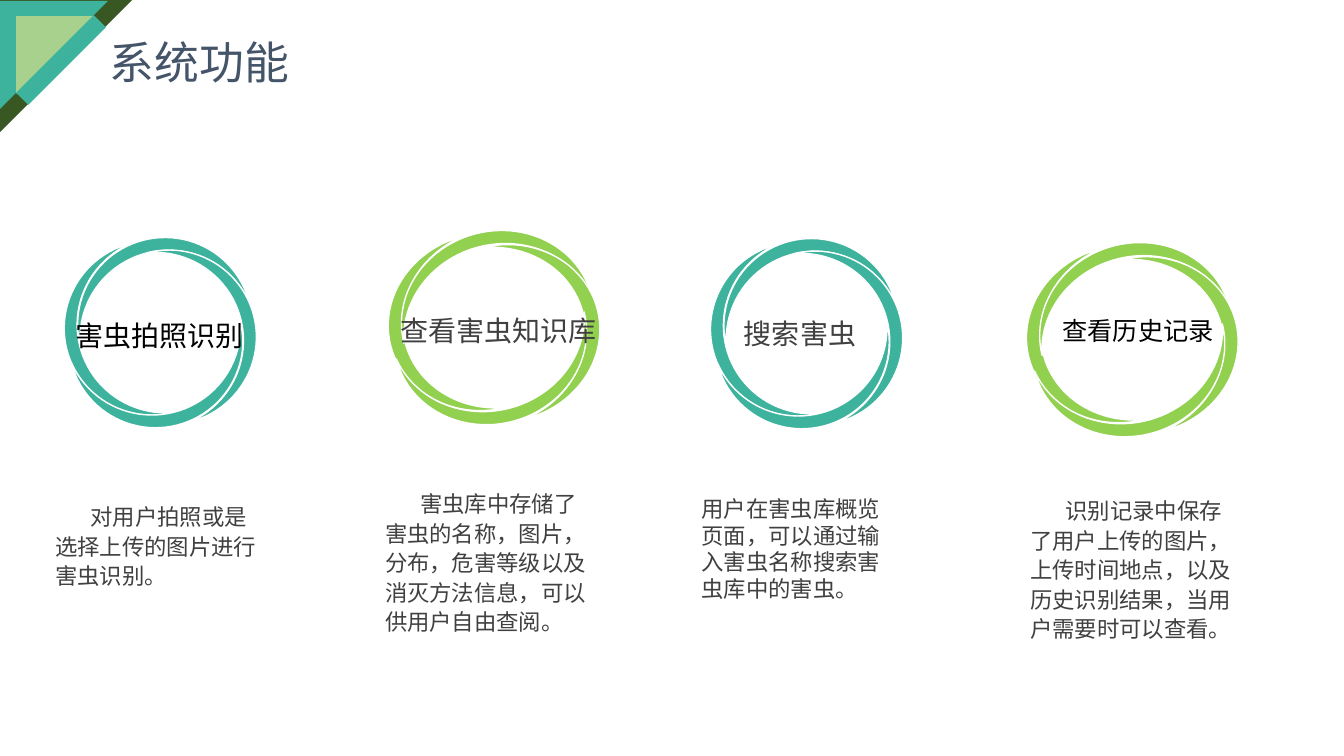
from pptx import Presentation
from pptx.dml.color import RGBColor
from pptx.enum.shapes import MSO_SHAPE as SHAPE
from pptx.enum.text import MSO_ANCHOR as ANCHOR, MSO_AUTO_SIZE as AUTO, PP_ALIGN as ALIGN
from pptx.oxml.ns import qn
from pptx.util import Inches, Pt

TEAL = RGBColor(0x3D, 0xB3, 0x9E)
GREEN = RGBColor(0x92, 0xD0, 0x50)
PALE_GREEN = RGBColor(0xA9, 0xD1, 0x8E)
DARK_GREEN = RGBColor(0x38, 0x57, 0x23)
SLATE = RGBColor(0x44, 0x54, 0x69)
GREY = RGBColor(0x40, 0x40, 0x40)
BLACK = RGBColor(0, 0, 0)
WHITE = RGBColor(0xFF, 0xFF, 0xFF)
NOTO = "Noto Sans CJK SC"

TEAL_MOONS = [(0.87, 1.73, 0.505, 0.06), (0.86, 1.73, 0.06, 0.5)]
GREEN_MOONS = [(0.96, 1.75, 0.56, 0.06), (0.88, 1.92, 0.07, 0.505)]


class Deck:
    """Draws the slide's elements in one shared style."""

    def __init__(self):
        self.prs = Presentation()
        self.prs.slide_width, self.prs.slide_height = Inches(13.33), Inches(7.5)
        self.s = self.prs.slides.add_slide(self.prs.slide_layouts[6])

    def shape(self, kind, box, color, rotation, parent=None):
        sp = (parent or self.s).shapes.add_shape(kind, *map(Inches, box))
        sp.shadow.inherit = False
        sp.rotation = rotation
        sp.fill.solid()
        sp.fill.fore_color.rgb = color
        sp.line.fill.background()
        return sp

    def ring(self, cx, cy, color, moons):
        group = self.s.shapes.add_group_shape()
        (sw, sh, sx, sy), (tw, th, tx, ty) = moons
        parts = [(sw, sh, -sx, sy), (tw, th, -tx, -ty), (sw, sh, sx, -sy), (tw, th, tx, ty)]
        for i, (w, h, dx, dy) in enumerate(parts):
            box = (cx + dx - w / 2, cy + dy - h / 2, w, h)
            sp = self.shape(SHAPE.MOON, box, color, (345.9 + 90 * i) % 360, group)
            sp.adjustments[0] = 0.152
            sp.line.color.rgb = WHITE
            sp.line.width = Pt(1)

    def text(self, box, text, size, color=GREY, font=NOTO, align=ALIGN.LEFT, spacing=None, indent=0):
        tf = self.s.shapes.add_textbox(*map(Inches, box)).text_frame
        tf.word_wrap = True
        tf.auto_size = AUTO.SHAPE_TO_FIT_TEXT
        tf.text = text
        p = tf.paragraphs[0]
        p.alignment = align
        if spacing:
            p.line_spacing = spacing
        if indent:
            p._p.get_or_add_pPr().set("indent", str(Inches(indent)))
        r = p.runs[0]
        r.font.size, r.font.name = Pt(size), font
        r.font.color.rgb = color
        ea = r._r.get_or_add_rPr().makeelement(qn("a:ea"), {"typeface": "Calibri" if font == NOTO else font})
        r.font._element.find(qn("a:latin")).addnext(ea)
        return tf

    def title(self, box, text):
        tf = self.text(box, text, 32, SLATE, "Arial")
        tf.margin_left = tf.margin_right = tf.margin_top = tf.margin_bottom = 0
        tf.vertical_anchor = ANCHOR.MIDDLE
        tf.paragraphs[0].space_before = Pt(6.4)


def main():
    d = Deck()
    for x, y, size, color in [(0, 0, 1.31, DARK_GREEN), (0, 0.01, 1.07, TEAL), (0.16, 0.16, 0.77, PALE_GREEN)]:
        d.shape(SHAPE.RIGHT_TRIANGLE, (x, y, size, size), color, 90)
    d.shape(SHAPE.RECTANGLE, (0.52, 0.05, 0.17, 1.09), TEAL, 45)
    d.title((1.09, 0.34, 2.21, 0.54), "系统功能")

    for cx, cy, color, moons in [
        (1.59, 3.3, TEAL, TEAL_MOONS),
        (4.9, 3.25, GREEN, GREEN_MOONS),
        (8, 3.31, TEAL, TEAL_MOONS),
        (11.23, 3.37, GREEN, GREEN_MOONS),
    ]:
        d.ring(cx, cy, color, moons)

    d.text((0.65, 3.11, 2.02, 0.44), "害虫拍照识别", 20, BLACK, "Calibri")
    d.text((3.3, 3.06, 3.29, 0.44), "查看害虫知识库", 20, align=ALIGN.CENTER)
    d.text((6.29, 3.09, 3.29, 0.44), "搜索害虫", 20, align=ALIGN.CENTER)
    d.text((10.44, 3.08, 2.03, 0.4), "查看历史记录", 18, BLACK, "Calibri")

    for box, text in [
        ((0.45, 4.92, 2.29, 0.97), "对用户拍照或是选择上传的图片进行害虫识别。"),
        ((3.72, 4.79, 2.29, 1.58), "害虫库中存储了害虫的名称，图片，分布，危害等级以及消灭方法信息，可以供用户自由查阅。"),
        ((10.12, 4.86, 2.29, 1.58), "识别记录中保存了用户上传的图片，上传时间地点，以及历史识别结果，当用户需要时可以查看。"),
    ]:
        d.text(box, text, 16, spacing=1.1, indent=0.35)
    d.text((6.86, 4.86, 2.16, 1.45), "用户在害虫库概览页面，可以通过输入害虫名称搜索害虫库中的害虫。", 16)
    d.prs.save("out.pptx")


if __name__ == "__main__":
    main()
